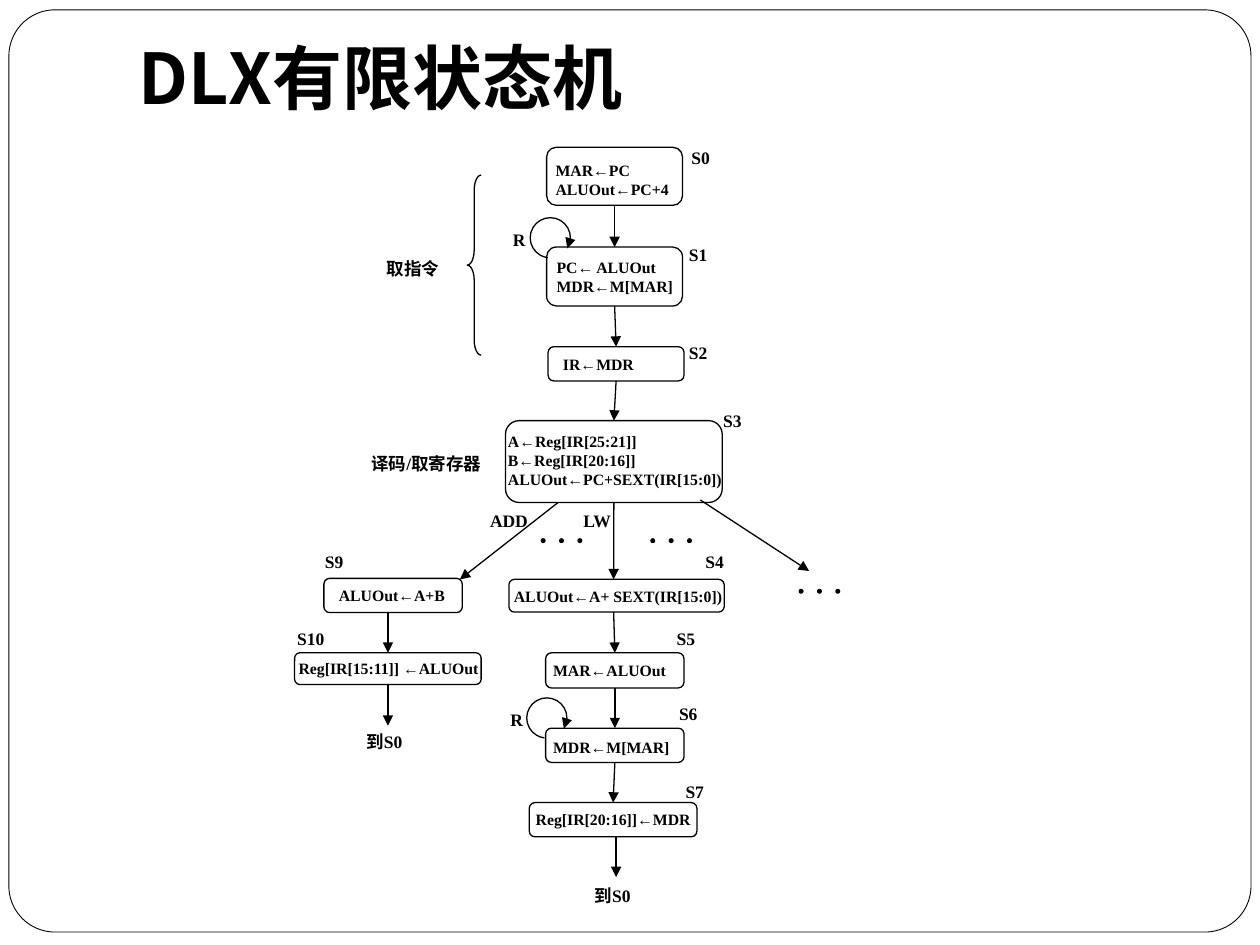
"""Build a slide with the DLX finite state machine."""
from dataclasses import dataclass

from lxml.etree import SubElement
from pptx import Presentation
from pptx.dml.color import RGBColor
from pptx.enum.shapes import MSO_CONNECTOR as Link, MSO_SHAPE as Shape
from pptx.enum.text import MSO_ANCHOR as Anchor, MSO_AUTO_SIZE as AutoSize, PP_ALIGN as Align
from pptx.oxml.ns import qn
from pptx.util import Cm, Pt


@dataclass(frozen=True)
class Theme:
    ink: RGBColor = RGBColor(0, 0, 0)
    paper: RGBColor = RGBColor(255, 255, 255)
    latin: str = "Times New Roman"
    asian: str = "Noto Sans CJK SC"
    symbol: str = "Arial"
    title: Pt = Pt(40)
    label: Pt = Pt(10)
    code: Pt = Pt(9)
    line: Pt = Pt(0.75)
    frame: Pt = Pt(0.5)


THEME = Theme()
TOP, BOTTOM = 0, 2
DOT_SIZE, DOT_STEP = 0.1, 0.37
LOOP_SIZE, LOOP_START, LOOP_END = 0.81, 97, 32
ARC_UNIT = 0.6

# name: left, top, width, height, text shift right, text shift down, lines
STATES = {
    "S0": (11.02, 2.97, 2.74, 1.17, 0.13, 0.06, ["MAR←PC", "ALUOut←PC+4"]),
    "S1": (11.02, 4.98, 2.74, 1.19, 0.15, 0, ["PC← ALUOut", "MDR←M[MAR]"]),
    "S2": (11.05, 6.99, 2.74, 0.69, 0.25, 0, ["IR←MDR"]),
    "S3": (10.19, 8.48, 4.37, 1.65, 0, -0.03,
           ["A←Reg[IR[25:21]]", "B←Reg[IR[20:16]]", "ALUOut←PC+SEXT(IR[15:0])"]),
    "S4": (10.26, 11.68, 4.34, 0.66, 0.05, 0, ["ALUOut←A+ SEXT(IR[15:0])"]),
    "S5": (11, 13.16, 2.79, 0.71, 0.1, 0, ["MAR←ALUOut"]),
    "S6": (11, 14.68, 2.79, 0.69, 0.1, 0.03, ["MDR←M[MAR]"]),
    "S7": (10.67, 16.18, 3.38, 0.69, 0.08, 0, ["Reg[IR[20:16]]←MDR"]),
    "S9": (6.53, 11.66, 2.79, 0.69, 0.25, 0, ["ALUOut←A+B"]),
    "S10": (5.94, 13.16, 3.76, 0.64, 0.03, 0, ["Reg[IR[15:11]] ←ALUOut"]),
}
LABELS = [
    ("S0", 13.89, 2.82), ("S1", 13.84, 4.78), ("S2", 13.84, 6.76),
    ("S3", 14.53, 8.13), ("S4", 14.17, 10.97), ("S5", 13.59, 12.52),
    ("S6", 13.64, 14.02), ("S7", 13.77, 15.6), ("S9", 6.5, 10.97),
    ("S10", 5.94, 12.52), ("LW", 11.71, 10.13), ("ADD", 9.83, 10.13),
    ("R", 10.29, 4.47), ("R", 10.24, 14.15), ("取指令", 7.75, 5.05),
    ("译码/取寄存器", 7.44, 8.99), ("到S0", 11.94, 17.7), ("到S0", 7.34, 14.6),
]
ARROWS = [
    ("S0", "S1"), ("S1", "S2"), ("S2", "S3"), ("S5", "S6"), ("S6", "S7"),
    ("S3", (12.37, 11.68)),
    ((11.25, 10.13), (9.27, 11.68)),
    ((14.12, 10.08), (16.31, 11.51)),
    ((12.37, 12.34), "S5"),
    ((7.82, 12.34), "S10"),
    ("S10", (7.82, 14.63)),
    ((12.42, 16.87), (12.42, 17.68)),
]
LOOPS = [(10.69, 4.39), (10.62, 14.07)]
DOT_ROWS = [(10.9, 10.85), (13.11, 10.85), (16.1, 11.87)]


def set_font(font, size, latin):
    """Give a font its size, weight, colour and typefaces."""
    font.size, font.bold, font.name = size, True, latin
    font.color.rgb = THEME.ink
    SubElement(font._element, qn("a:ea")).set("typeface", THEME.asian)


def add_outline(page, kind, left, top, width, height, weight=THEME.line):
    """Add an unfilled preset shape with a thin line."""
    shape = page.shapes.add_shape(kind, Cm(left), Cm(top), Cm(width), Cm(height))
    shape.shadow.inherit = False
    shape.fill.background()
    shape.line.color.rgb = THEME.ink
    shape.line.width = weight
    return shape


def add_text(page, lines, left, top, width, height, size):
    """Add a text box whose assignment arrows use the symbol font."""
    box = page.shapes.add_textbox(Cm(left), Cm(top), Cm(width), Cm(height))
    frame = box.text_frame
    frame.word_wrap = True
    frame.vertical_anchor = Anchor.MIDDLE
    frame.margin_left = frame.margin_right = Cm(0.05)
    frame.margin_top = frame.margin_bottom = Cm(0.03)
    for index, line in enumerate(lines):
        para = frame.paragraphs[0] if index == 0 else frame.add_paragraph()
        para.alignment = Align.JUSTIFY
        set_font(para.font, size, THEME.latin)
        for part in filter(None, line.partition("←")):
            span = para.add_run()
            span.text = part
            if part == "←":
                span.font.name = THEME.symbol


def add_state(page, left, top, width, height, right, down, lines):
    """Add a state box with its register transfers and return the box."""
    state = add_outline(page, Shape.FLOWCHART_ALTERNATE_PROCESS, left, top, width, height)
    add_text(page, lines, left + right, top + down, width + 0.2, height, THEME.code)
    return state


def add_arrowhead(shape):
    """Put a triangle at the end of a line."""
    SubElement(shape.line._get_or_add_ln(), qn("a:tailEnd")).set("type", "triangle")


def add_arrow(page, states, start, end):
    """Draw an arrow between two ends, each a state name or a point."""
    points = [(0, 0) if isinstance(stop, str) else stop for stop in (start, end)]
    arrow = page.shapes.add_connector(
        Link.STRAIGHT, *(Cm(value) for point in points for value in point))
    if isinstance(start, str):
        arrow.begin_connect(states[start], BOTTOM)
    if isinstance(end, str):
        arrow.end_connect(states[end], TOP)
    arrow.line.color.rgb = THEME.ink
    arrow.line.width = THEME.line
    add_arrowhead(arrow)
    SubElement(arrow._element.spPr, qn("a:effectLst"))


def add_loop(page, left, top):
    """Draw the round arrow of a state that waits for R."""
    loop = add_outline(page, Shape.ARC, left, top, LOOP_SIZE, LOOP_SIZE)
    loop.adjustments[0] = LOOP_START * ARC_UNIT
    loop.adjustments[1] = LOOP_END * ARC_UNIT
    add_arrowhead(loop)


def add_dots(page, left, top):
    """Draw a row of three dots for the states left out."""
    for index in range(3):
        dot = add_outline(page, Shape.OVAL, left + index * DOT_STEP, top, DOT_SIZE, DOT_SIZE)
        dot.fill.solid()
        dot.fill.fore_color.rgb = THEME.ink
        dot.line.fill.background()


def add_frame(page):
    """Draw the rounded page frame behind everything else."""
    frame = add_outline(page, Shape.ROUNDED_RECTANGLE, 0.18, 0.2, 25.04, 18.59, THEME.frame)
    frame.adjustments[0] = 0.05
    frame.fill.solid()
    frame.fill.fore_color.rgb = THEME.paper
    frame._element.getparent().insert(2, frame._element)


def set_title(page, text):
    """Place and format the title."""
    title = page.shapes.title
    title.left, title.top, title.width, title.height = Cm(2.54), Cm(0.76), Cm(21.59), Cm(3.18)
    title.text_frame.text = text
    title.text_frame.auto_size = AutoSize.NONE
    title.text_frame.vertical_anchor = Anchor.TOP
    para = title.text_frame.paragraphs[0]
    para.alignment = Align.LEFT
    para.line_spacing = 0.9
    set_font(para.font, THEME.title, THEME.asian)


def main():
    """Build the deck and save it."""
    deck = Presentation()
    deck.slide_width, deck.slide_height = Cm(25.4), Cm(19.05)
    page = deck.slides.add_slide(deck.slide_layouts[5])
    add_frame(page)
    set_title(page, "DLX有限状态机")
    states = {name: add_state(page, *state) for name, state in STATES.items()}
    for text, left, top in LABELS:
        add_text(page, [text], left, top, 2.79 if "/" in text else 1.5, 0.71, THEME.label)
    for start, end in ARROWS:
        add_arrow(page, states, start, end)
    for left, top in LOOPS:
        add_loop(page, left, top)
    for left, top in DOT_ROWS:
        add_dots(page, left, top)
    brace = add_outline(page, Shape.LEFT_BRACE, 9.42, 3.53, 0.28, 3.63)
    brace.adjustments[0] = 1.08
    deck.save("out.pptx")


if __name__ == "__main__":
    main()
